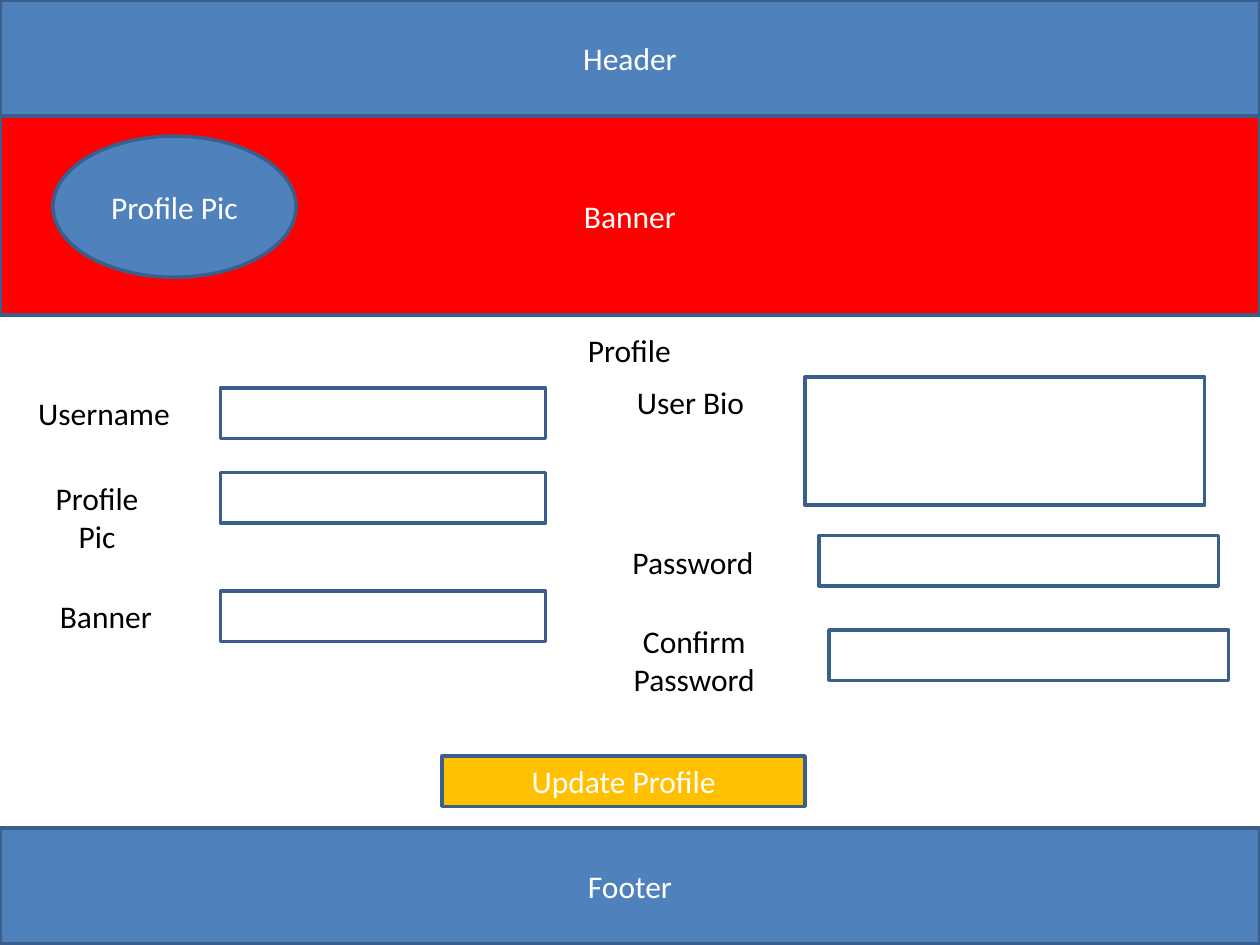
from pptx import Presentation
from pptx.dml.color import RGBColor
from pptx.enum.shapes import MSO_SHAPE
from pptx.enum.text import MSO_ANCHOR, MSO_AUTO_SIZE, PP_ALIGN
from pptx.util import Inches, Pt

RECT, OVAL = MSO_SHAPE.RECTANGLE, MSO_SHAPE.OVAL
MIDDLE, CENTER = MSO_ANCHOR.MIDDLE, PP_ALIGN.CENTER
GROW = MSO_AUTO_SIZE.SHAPE_TO_FIT_TEXT

BLUE = RGBColor(0x4F, 0x81, 0xBD)
EDGE = RGBColor(0x3A, 0x5F, 0x8C)
RED = RGBColor(0xFF, 0x00, 0x00)
GOLD = RGBColor(0xFF, 0xC0, 0x00)
WHITE = RGBColor(0xFF, 0xFF, 0xFF)
BLACK = RGBColor(0x00, 0x00, 0x00)

WIDE, TALL = 10, 7.5
BAR = 0.92    # header and footer height
ROW = 0.4     # one-line label or input height
PAIR = 0.71   # two-line label height
LEFT_X, LEFT_W, RIGHT_W = 1.75, 2.58, 3.17

# Filled blocks: text, shape, colour, (left, top, width, height)
BLOCKS = [
    ("Header", RECT, BLUE, (0, 0, WIDE, BAR)),
    ("Footer", RECT, BLUE, (0, TALL - BAR - 0.01, WIDE, BAR)),
    ("Banner", RECT, RED, (0, BAR, WIDE, 1.58)),
    ("Update Profile", RECT, GOLD, (3.51, 6, 2.88, ROW)),
    ("Profile Pic", OVAL, BLUE, (0.42, 1.08, 1.93, 1.12)),
]

# Labels: lines, (left, top, width, height)
LABELS = [
    (["Profile"], (3.62, 2.58, 2.75, ROW)),
    (["Username"], (0.08, 3.08, 1.49, ROW)),
    (["Profile Pic"], (0.21, 3.75, 1.12, PAIR)),
    (["Banner"], (-0.07, 4.69, 1.82, ROW)),
    (["User Bio"], (4.57, 2.99, 1.82, ROW)),
    (["Password"], (4.59, 4.26, 1.82, ROW)),
    (["Confirm", "Password"], (4.6, 4.89, 1.82, PAIR)),
]

# Input boxes
INPUTS = [(LEFT_X, top, LEFT_W, ROW) for top in (3.08, 3.75, 4.69)] + [
    (6.39, 2.99, RIGHT_W, 1.02),
    (6.5, 4.25, RIGHT_W, ROW),
    (6.58, 5, RIGHT_W, ROW),
]

deck = Presentation()
deck.slide_width, deck.slide_height = Inches(WIDE), Inches(TALL)
slide = deck.slides.add_slide(deck.slide_layouts[6])


def write(frame, lines, color):
    frame.word_wrap = True
    for i, line in enumerate(lines):
        para = frame.add_paragraph() if i else frame.paragraphs[0]
        para.alignment = CENTER
        run = para.add_run()
        run.text = line
        run.font.name, run.font.size = "Calibri", Pt(18)
        run.font.color.rgb = color


def add_box(kind, area, fill=None):
    box = slide.shapes.add_shape(kind, *map(Inches, area))
    box.shadow.inherit = False
    if fill is None:
        box.fill.background()
    else:
        box.fill.solid()
        box.fill.fore_color.rgb = fill
    box.line.color.rgb = EDGE
    box.line.width = Pt(2)
    return box


for text, kind, fill, area in BLOCKS:
    frame = add_box(kind, area, fill).text_frame
    frame.vertical_anchor = MIDDLE
    write(frame, [text], WHITE)

for lines, area in LABELS:
    frame = slide.shapes.add_textbox(*map(Inches, area)).text_frame
    write(frame, lines, BLACK)
    frame.auto_size = GROW

for area in INPUTS:
    add_box(RECT, area)

deck.save("out.pptx")
